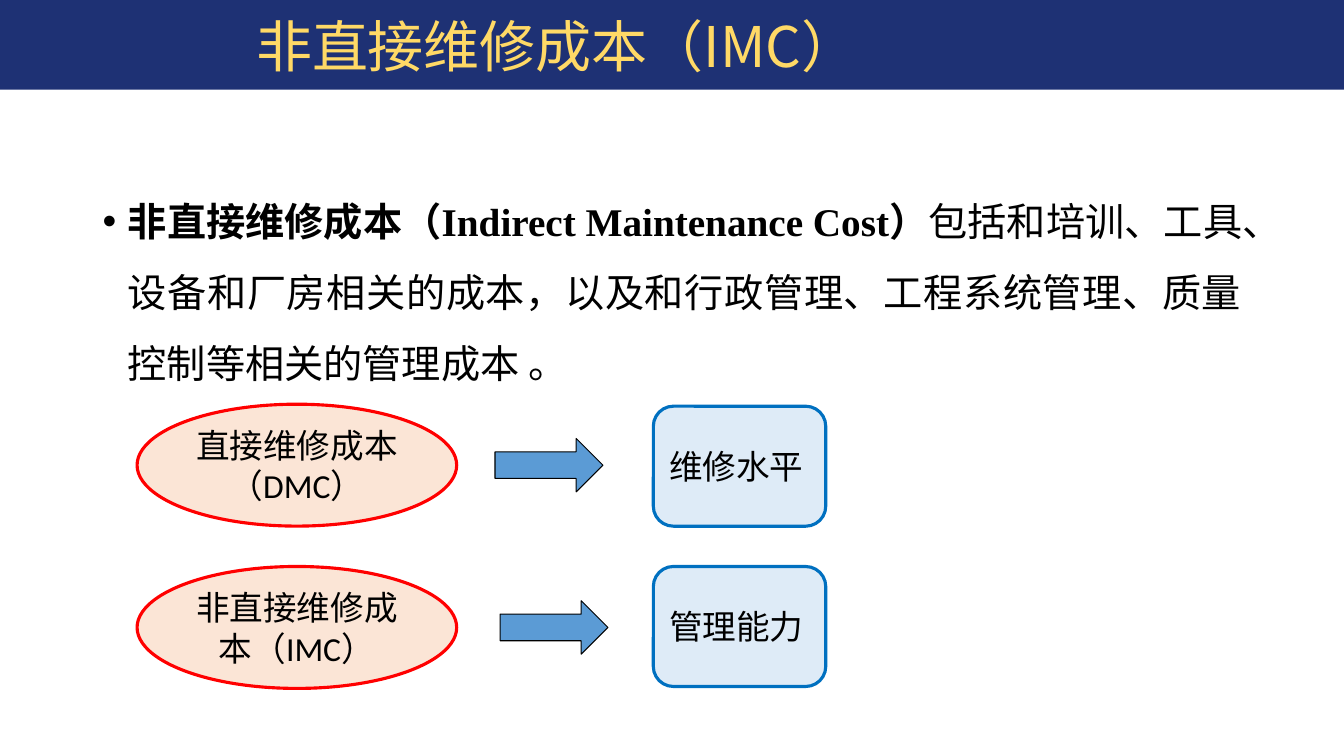
from dataclasses import dataclass

from lxml import etree
from pptx import Presentation
from pptx.dml.color import RGBColor
from pptx.enum.shapes import MSO_SHAPE
from pptx.enum.text import MSO_ANCHOR, PP_ALIGN
from pptx.oxml.ns import qn
from pptx.util import Inches, Pt

RECTANGLE, ELLIPSE = MSO_SHAPE.RECTANGLE, MSO_SHAPE.OVAL
ROUNDED, ARROW = MSO_SHAPE.ROUNDED_RECTANGLE, MSO_SHAPE.RIGHT_ARROW
MIDDLE = MSO_ANCHOR.MIDDLE
CENTER, JUSTIFY = PP_ALIGN.CENTER, PP_ALIGN.JUSTIFY
CHINESE_FONT, LATIN_FONT, TERM_FONT = "Noto Sans CJK SC", "Calibri", "Times New Roman"
BLACK = "000000"


@dataclass(frozen=True)
class Style:
    preset: int
    fill: str
    line: str | None = None
    line_width: float = 0
    align: int = CENTER


@dataclass(frozen=True)
class Flow:
    cost: str
    cost_top: float
    arrow_left: float
    arrow_top: float
    driver: str
    driver_top: float


BANNER = Style(RECTANGLE, "1E3174")
COST = Style(ELLIPSE, "FBE5D6", "FF0000", 2.25)
LEADS_TO = Style(ARROW, "5B9BD5", BLACK, 0.75)
DRIVER = Style(ROUNDED, "DEEBF7", "0070C0", 2.25, JUSTIFY)

FLOWS = [
    Flow("直接维修成本（DMC）", 4.01, 4.91, 4.35, "维修水平", 4.03),
    Flow("非直接维修成本（IMC）", 5.62, 4.96, 5.96, "管理能力", 5.62),
]


def color(value: str) -> RGBColor:
    return RGBColor.from_string(value)


def format_run(run, size: float, latin: str = LATIN_FONT,
               ink: str = BLACK, bold: bool = False) -> None:
    run.font.size, run.font.bold, run.font.name = Pt(size), bold, latin
    run.font.color.rgb = color(ink)
    east_asian = etree.SubElement(run.font._element, qn("a:ea"))
    east_asian.set("typeface", CHINESE_FONT)


def add_block(slide, style: Style, left: float, top: float,
              width: float, height: float, text: str = ""):
    block = slide.shapes.add_shape(
        style.preset, Inches(left), Inches(top), Inches(width), Inches(height))
    block.shadow.inherit = False
    block.fill.solid()
    block.fill.fore_color.rgb = color(style.fill)
    if style.line:
        block.line.color.rgb = color(style.line)
        block.line.width = Pt(style.line_width)
    else:
        block.line.fill.background()
    if text:
        block.text_frame.text = text
        block.text_frame.vertical_anchor = MIDDLE
        paragraph = block.text_frame.paragraphs[0]
        paragraph.alignment = style.align
        format_run(paragraph.runs[0], 24)
    return block


def add_text_frame(slide, left: float, top: float, width: float, height: float):
    frame = slide.shapes.add_textbox(
        Inches(left), Inches(top), Inches(width), Inches(height)).text_frame
    frame.word_wrap = True
    return frame


def add_bullet(paragraph, indent: float) -> None:
    properties = paragraph._p.get_or_add_pPr()
    properties.set("marL", str(Inches(indent)))
    properties.set("indent", str(-Inches(indent)))
    etree.SubElement(properties, qn("a:buFont")).set("typeface", "Arial")
    etree.SubElement(properties, qn("a:buChar")).set("char", "•")


deck = Presentation()
deck.slide_width, deck.slide_height = Inches(13.33), Inches(7.5)
slide = deck.slides.add_slide(deck.slide_layouts[6])

# Title banner
add_block(slide, BANNER, 0, 0, 13.33, 0.89)
title = add_text_frame(slide, 0.92, -0.24, 11.5, 1.45)
title.margin_left = Inches(1.62)
title.vertical_anchor = MIDDLE
title.text = "非直接维修成本（IMC）"
title.paragraphs[0].line_spacing = 0.9
format_run(title.paragraphs[0].runs[0], 40, CHINESE_FONT, "FFD966")

# Definition
definition = add_text_frame(slide, 0.92, 1.68, 11.5, 4.76).paragraphs[0]
definition.text = "非直接维修成本（Indirect Maintenance Cost）"
definition.alignment = JUSTIFY
definition.line_spacing = 1.5
definition.space_before = Pt(10)
add_bullet(definition, 0.25)
format_run(definition.runs[0], 28, TERM_FONT, bold=True)
explanation = definition.add_run()
explanation.text = ("包括和培训、工具、设备和厂房相关的成本，以及和行政管理、"
                    "工程系统管理、质量控制等相关的管理成本 。")
format_run(explanation, 28)

# Each cost and what it reflects
for flow in FLOWS:
    arrow = add_block(slide, LEADS_TO, flow.arrow_left, flow.arrow_top, 1.07, 0.53)
    arrow.adjustments[0], arrow.adjustments[1] = 0.5, 0.5
    add_block(slide, COST, 1.36, flow.cost_top, 3.17, 1.21, flow.cost)
    add_block(slide, DRIVER, 6.48, flow.driver_top, 1.71, 1.19, flow.driver)

deck.save("out.pptx")
